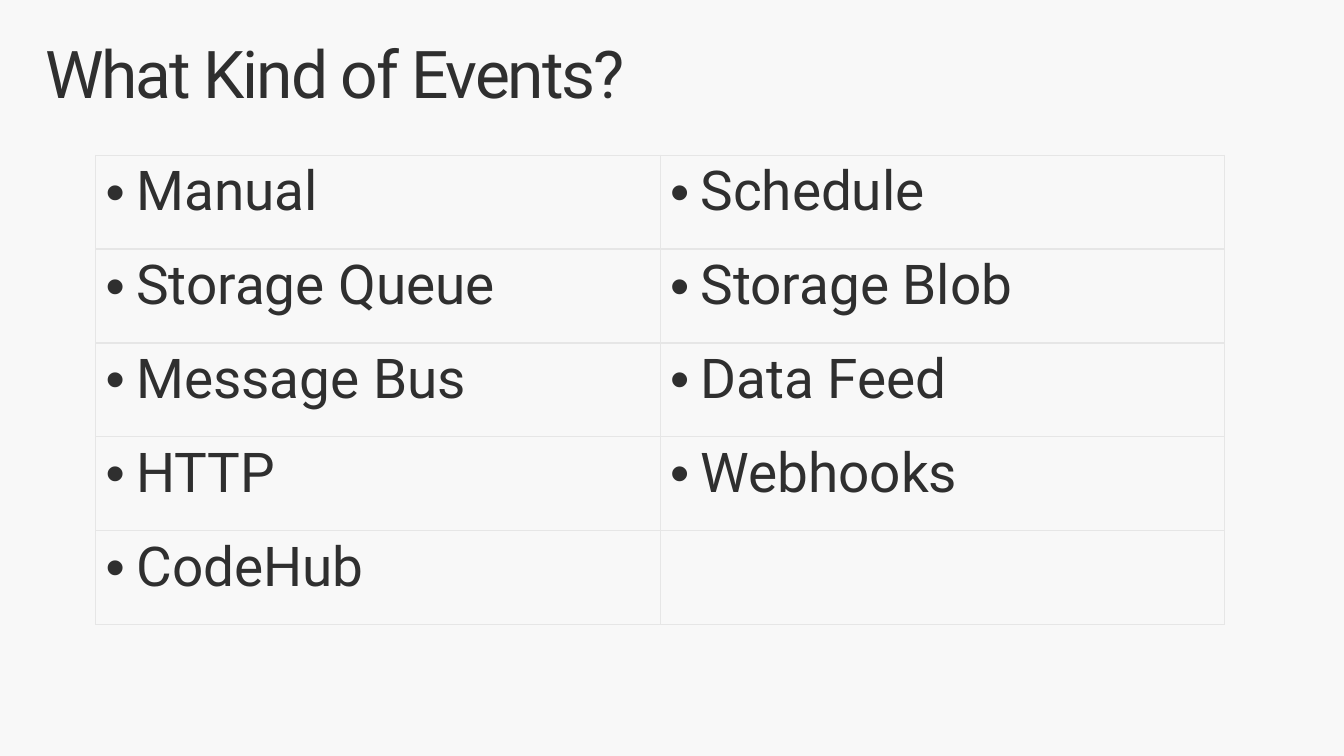
from dataclasses import dataclass

from lxml.etree import SubElement
from pptx import Presentation
from pptx.dml.color import RGBColor
from pptx.enum.text import MSO_ANCHOR
from pptx.oxml.ns import qn
from pptx.slide import Slide
from pptx.table import _Cell as Cell
from pptx.text.text import _Run as Run
from pptx.util import Inches, Pt

COLORS = {"background": "F8F8F8", "text": "2F2F2F", "border": "E6E6E6"}
FONT_NAME = "Roboto"
COLUMN_WIDTH = Inches(5.71)
ROW_HEIGHT = Inches(0.95)
BULLET_INDENT = Inches(0.31)


@dataclass(frozen=True)
class EventRow:
    left: str
    right: str = ""


EVENT_ROWS = [
    EventRow("Manual", "Schedule"),
    EventRow("Storage Queue", "Storage Blob"),
    EventRow("Message Bus", "Data Feed"),
    EventRow("HTTP", "Webhooks"),
    EventRow("CodeHub"),
]


def color(name: str) -> RGBColor:
    return RGBColor.from_string(COLORS[name])


def format_run(run: Run, size: float) -> None:
    for attribute, value in {"name": FONT_NAME, "size": Pt(size)}.items():
        setattr(run.font, attribute, value)
    run.font.color.rgb = color("text")


def add_title(slide: Slide, text: str) -> None:
    box = slide.shapes.add_textbox(Inches(0.3), Inches(0.32), Inches(13), Inches(1))
    frame_format = {
        "word_wrap": True,
        "vertical_anchor": MSO_ANCHOR.TOP,
        "margin_left": Inches(0.16),
        "margin_right": Inches(0.16),
        "margin_top": Inches(0.1),
        "margin_bottom": Inches(0.1),
    }
    for attribute, value in frame_format.items():
        setattr(box.text_frame, attribute, value)
    paragraph = box.text_frame.paragraphs[0]
    paragraph.line_spacing = 0.9
    run = paragraph.add_run()
    run.text = text
    format_run(run, 48)
    run._r.get_or_add_rPr().set("spc", "-150")


def style_cell(cell: Cell) -> None:
    """Give the cell four thin borders and no fill."""
    properties = cell._tc.get_or_add_tcPr()
    for side in ("lnL", "lnR", "lnT", "lnB"):
        line = SubElement(properties, qn(f"a:{side}"), w=str(Pt(1)))
        fill = SubElement(line, qn("a:solidFill"))
        SubElement(fill, qn("a:srgbClr"), val=COLORS["border"])
    cell.fill.background()


def write_bullet(cell: Cell, text: str) -> None:
    paragraph = cell.text_frame.paragraphs[0]
    properties = paragraph._p.get_or_add_pPr()
    properties.set("marL", str(BULLET_INDENT))
    properties.set("indent", str(-BULLET_INDENT))
    SubElement(properties, qn("a:buFont"), typeface="Arial")
    SubElement(properties, qn("a:buChar"), char="•")
    run = paragraph.add_run()
    run.text = text
    format_run(run, 40)


def add_event_table(slide: Slide, rows: list[EventRow]) -> None:
    table = slide.shapes.add_table(
        len(rows), 2, Inches(0.97), Inches(1.57),
        COLUMN_WIDTH * 2, ROW_HEIGHT * len(rows),
    ).table
    for attribute in ("first_row", "horz_banding"):
        setattr(table, attribute, False)
    for row_index, row in enumerate(rows):
        for column_index, text in enumerate((row.left, row.right)):
            cell = table.cell(row_index, column_index)
            style_cell(cell)
            if text:
                write_bullet(cell, text)


def main() -> None:
    presentation = Presentation()
    presentation.slide_width = Inches(13.6)
    presentation.slide_height = Inches(7.65)
    slide = presentation.slides.add_slide(presentation.slide_layouts[6])
    slide.background.fill.solid()
    slide.background.fill.fore_color.rgb = color("background")
    add_title(slide, "What Kind of Events?")
    add_event_table(slide, EVENT_ROWS)
    presentation.save("out.pptx")


if __name__ == "__main__":
    main()
